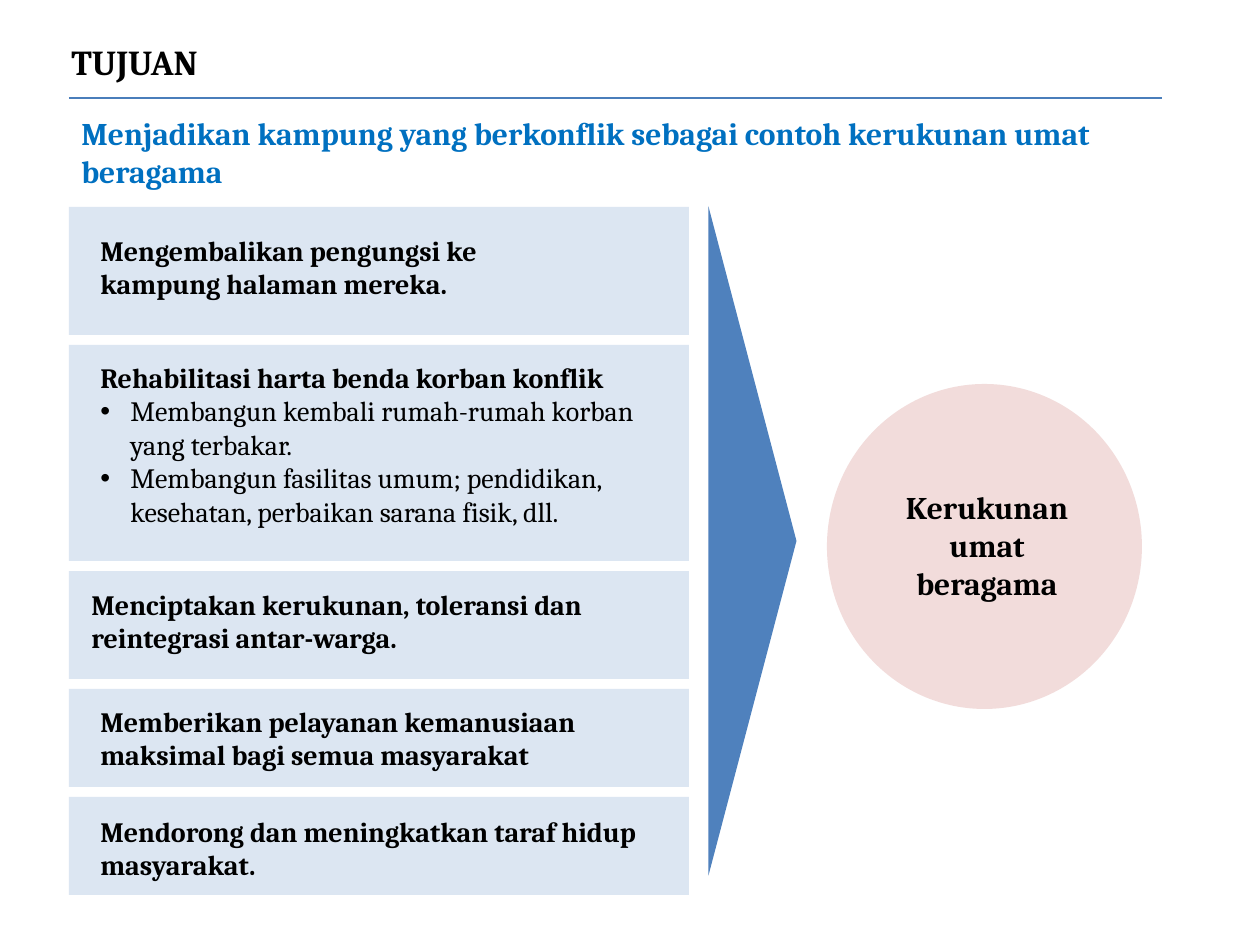
from dataclasses import dataclass

from lxml import etree
from pptx import Presentation
from pptx.dml.color import RGBColor as RGB
from pptx.enum.shapes import MSO_CONNECTOR as Connector, MSO_SHAPE as Shape
from pptx.enum.text import PP_ALIGN as Align
from pptx.oxml.ns import qn
from pptx.util import Emu, Pt


@dataclass(frozen=True)
class Theme:
    font: str = "Cambria"
    black: str = "000000"
    heading: str = "0070C0"
    rule: str = "4A7EBB"
    panel: str = "DCE6F2"
    arrow: str = "4F81BD"
    circle: str = "F2DCDB"
    title_size: int = 20
    lead_size: int = 18
    body_size: int = 16


T = Theme()
PANEL_X, PANEL_W, PANEL_TOP, PANEL_GAP = 69, 620, 207, 10
BULLET_INDENT = 30

# Panel height, text left, text offset from panel top, text width, heading, bullets
GOALS = [
    (128, 88, 20, 452, "Mengembalikan pengungsi ke kampung halaman mereka.", []),
    (216, 88, 9, 581, "Rehabilitasi harta benda korban konflik",
     ["Membangun kembali rumah-rumah korban yang terbakar.",
      "Membangun fasilitas umum; pendidikan, kesehatan, perbaikan sarana fisik, dll."]),
    (108, 79, 10, 581, "Menciptakan kerukunan, toleransi dan reintegrasi antar-warga.", []),
    (98, 88, 9, 630, "Memberikan pelayanan kemanusiaan maksimal bagi semua masyarakat", []),
    (98, 88, 11, 630, "Mendorong dan meningkatkan taraf hidup masyarakat.", []),
]


def px(n):
    return Emu(round(n * 914400 / 126))


def box(x, y, w, h):
    return px(x), px(y), px(w), px(h)


def add_fill_shape(slide, kind, bounds, color, rotation=0):
    sp = slide.shapes.add_shape(kind, *box(*bounds))
    sp.shadow.inherit = False
    sp.fill.solid()
    sp.fill.fore_color.rgb = RGB.from_string(color)
    sp.line.fill.background()
    sp.rotation = rotation


def add_rule(slide, x1, x2, y):
    line = slide.shapes.add_connector(Connector.STRAIGHT, px(x1), px(y), px(x2), px(y))
    line.line.color.rgb = RGB.from_string(T.rule)
    line.line.width = Pt(0.75)
    etree.SubElement(line._element.spPr, qn("a:effectLst"))


def write(p, text, size=T.body_size, color=T.black, bold=True, align=Align.LEFT, bullet=False):
    if bullet:
        pPr = p._p.get_or_add_pPr()
        pPr.set("marL", str(px(BULLET_INDENT)))
        pPr.set("indent", str(-px(BULLET_INDENT)))
        etree.SubElement(pPr, qn("a:buFont"), typeface="Arial")
        etree.SubElement(pPr, qn("a:buChar"), char="•")
    p.alignment = align
    r = p.add_run()
    r.text = text
    r.font.name, r.font.size, r.font.bold = T.font, Pt(size), bold
    r.font.color.rgb = RGB.from_string(color)


def add_text(slide, bounds, text, bullets=(), **fmt):
    tf = slide.shapes.add_textbox(*box(*bounds)).text_frame
    tf.word_wrap = True
    write(tf.paragraphs[0], text, **fmt)
    for item in bullets:
        write(tf.add_paragraph(), item, bold=False, bullet=True)


def add_goals(slide):
    y = PANEL_TOP
    for h, text_x, offset, text_w, heading, bullets in GOALS:
        add_fill_shape(slide, Shape.RECTANGLE, (PANEL_X, y, PANEL_W, h), T.panel)
        text_h = 181 if bullets else 81
        add_text(slide, (text_x, y + offset, text_w, text_h), heading, bullets)
        y += h + PANEL_GAP


def main():
    prs = Presentation()
    prs.slide_width, prs.slide_height = px(1260), px(945)
    slide = prs.slides.add_slide(prs.slide_layouts[6])

    # Title and lead sentence
    add_text(slide, (59, 34, 522, 55), "TUJUAN", size=T.title_size)
    add_rule(slide, 69, 1162, 98)
    add_text(slide, (69, 108, 1123, 88),
             "Menjadikan kampung yang berkonflik sebagai contoh kerukunan umat beragama",
             size=T.lead_size, color=T.heading)

    # Goals on the left
    add_goals(slide)

    # Arrow to the outcome
    add_fill_shape(slide, Shape.ISOSCELES_TRIANGLE, (418, 497, 669, 88), T.arrow, rotation=90)
    add_fill_shape(slide, Shape.OVAL, (827, 384, 315, 325), T.circle)
    add_text(slide, (876, 482, 222, 126), "Kerukunan umat beragama",
             size=T.lead_size, align=Align.CENTER)

    prs.save("out.pptx")


if __name__ == "__main__":
    main()
